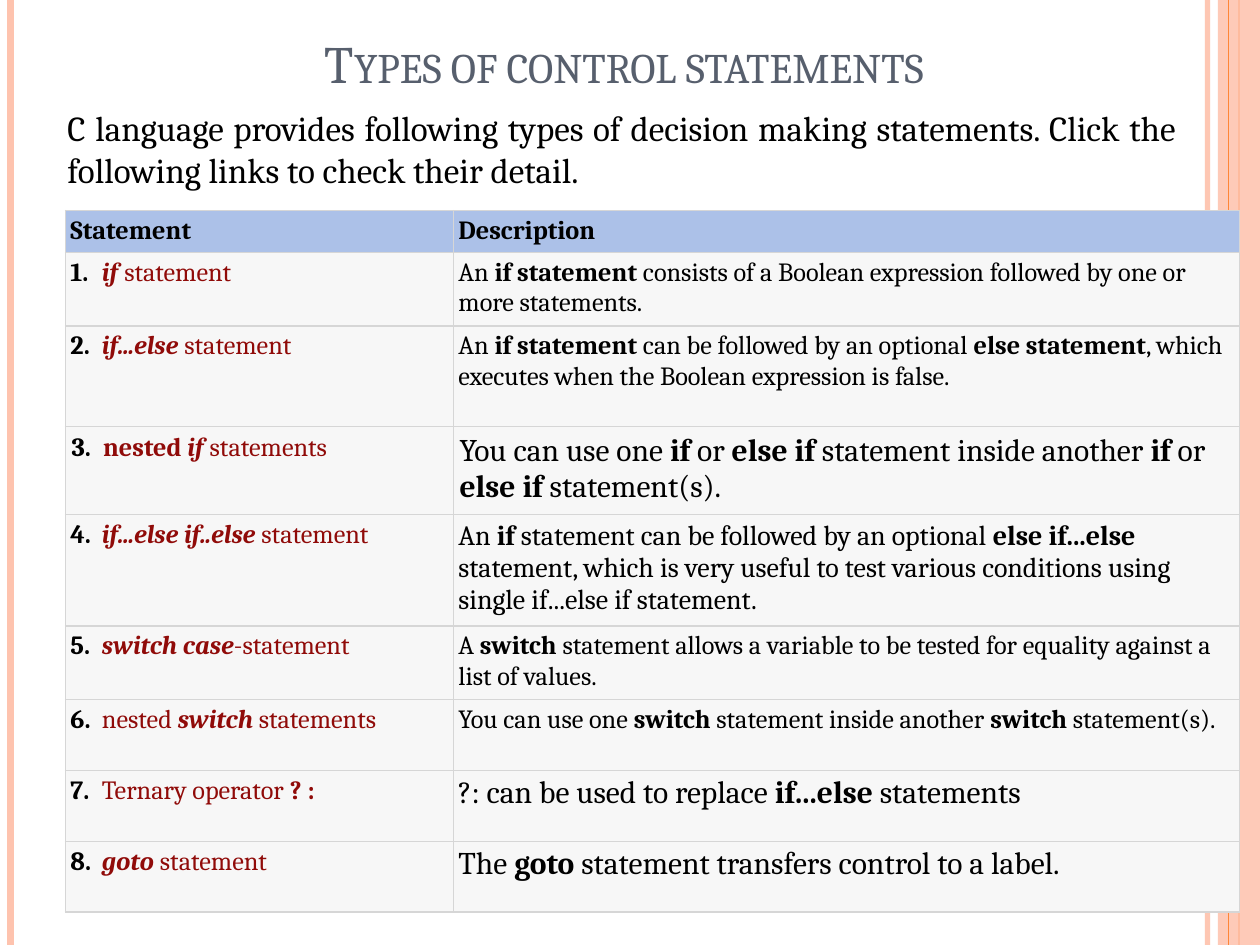
"""Build a slide that lists the control statements of the C language in a table."""
from lxml.etree import SubElement
from pptx import Presentation
from pptx.dml.color import RGBColor as Color
from pptx.enum.shapes import MSO_CONNECTOR as Connector, MSO_SHAPE as Shape
from pptx.enum.text import MSO_ANCHOR as Anchor, PP_ALIGN as Align
from pptx.oxml.ns import qn
from pptx.util import Pt

COLORS = {"title": "575F6D", "text": "000000", "link": "900B09", "header": "ACC1E8",
          "row": "F7F7F7", "border": "D6D6D6", "pale": "FEC3AE", "orange": "FE8637"}


def add_run(paragraph, text, size, color="text", style=""):
    run = paragraph.add_run()
    run.text = text
    values = {"name": "Cambria", "size": Pt(size), "bold": "b" in style, "italic": "i" in style}
    for name, value in values.items():
        setattr(run.font, name, value)
    run.font.color.rgb = Color.from_string(COLORS[color])
    return run


def set_alpha(element, percent):
    color = next(element.iter(qn("a:srgbClr")))
    SubElement(color, qn("a:alpha"), val=str(percent * 1000))


presentation = Presentation()
presentation.slide_width, presentation.slide_height = Pt(720), Pt(540)
slide = presentation.slides.add_slide(presentation.slide_layouts[6])

lines = [(690, 3, "pale", 93), (6, 4.5, "pale", 100), (708, 1.5, "orange", 100),
         (702, 0.75, "orange", 100)]
for index, (x, width, color, opacity) in enumerate(lines):
    if index == 3:
        band = slide.shapes.add_shape(Shape.RECTANGLE, Pt(696), Pt(0), Pt(24), Pt(540))
        band.shadow.inherit = False
        band.fill.solid()
        band.fill.fore_color.rgb = Color.from_string(COLORS["pale"])
        band.line.fill.background()
        set_alpha(band._element.spPr, 87)
    line = slide.shapes.add_connector(Connector.STRAIGHT, Pt(x), Pt(0), Pt(x), Pt(540))
    line.line.width = Pt(width)
    line.line.color.rgb = Color.from_string(COLORS[color])
    if opacity < 100:
        set_alpha(line._element.spPr, opacity)
    SubElement(line._element.spPr, qn("a:effectLst"))

texts = [
    ((62.5, 0.5, 588.5, 56.5), "Types of control statements", 30, "title",
     Align.CENTER, Anchor.BOTTOM, "small"),
    ((31.5, 57.5, 648, 55.5), "C language provides following types of decision making statements. "
     "Click the following links to check their detail.", 20, "text",
     Align.JUSTIFY, Anchor.TOP, "none"),
]
for bounds, text, size, color, alignment, anchor, caps in texts:
    box = slide.shapes.add_textbox(*map(Pt, bounds))
    box.text_frame.word_wrap = True
    box.text_frame.vertical_anchor = anchor
    paragraph = box.text_frame.paragraphs[0]
    paragraph.alignment = alignment
    run = add_run(paragraph, text, size, color)
    run._r.get_or_add_rPr().set("cap", caps)

statements = [
    (41, 3, [("if ", "bi"), ("statement", "")], 15,
     "An *if statement* consists of a Boolean expression followed by one or more statements."),
    (57.5, 3, [("if...else ", "bi"), ("statement", "")], 15,
     "An *if statement* can be followed by an optional *else statement*, "
     "which executes when the Boolean expression is false."),
    (49, 3.6, [("nested ", "b"), ("if ", "bi"), ("statements", "")], 18,
     "You can use one *if* or *else if* statement inside another *if* or *else if* statement(s)."),
    (61, 3, [("if...else if..else ", "bi"), ("statement", "")], 16,
     "An *if* statement can be followed by an optional *else if...else* statement, "
     "which is very useful to test various conditions using single if...else if statement."),
    (41, 3, [("switch case", "bi"), ("-statement", "")], 15,
     "A *switch* statement allows a variable to be tested for equality against a list of values."),
    (40.5, 3, [("nested ", ""), ("switch", "bi"), (" statements", "")], 15,
     "You can use one *switch* statement inside another *switch *statement(s)."),
    (40.5, 3, [("Ternary operator ", ""), ("? :", "b")], 18,
     "?: can be used to replace *if...else *statements"),
    (40.5, 3, [("goto", "bi"), (" statement", "")], 18,
     "The *goto* statement transfers control to a label."),
]
frame = slide.shapes.add_table(len(statements) + 1, 2, Pt(37.3), Pt(120.3), Pt(671), Pt(395))
table = frame.table
table.first_row = table.horz_banding = False
table.columns[0].width, table.columns[1].width = Pt(221.7), Pt(449.3)
heights = [24] + [statement[0] for statement in statements]
margins = [3] + [statement[1] for statement in statements]
for index, (row, height, margin) in enumerate(zip(table.rows, heights, margins)):
    row.height = Pt(height)
    for cell in row.cells:
        for side in ("left", "right", "top", "bottom"):
            setattr(cell, f"margin_{side}", Pt(margin))
        for edge in ("lnL", "lnR", "lnT", "lnB"):
            border = SubElement(cell._tc.get_or_add_tcPr(), qn(f"a:{edge}"), w=str(Pt(0.75)))
            fill = SubElement(border, qn("a:solidFill"))
            SubElement(fill, qn("a:srgbClr"), val=COLORS["border"])
        cell.fill.solid()
        cell.fill.fore_color.rgb = Color.from_string(COLORS["row" if index else "header"])

for column, heading in enumerate(("Statement", "Description")):
    add_run(table.cell(0, column).text_frame.paragraphs[0], heading, 15, style="b")
for number, (height, margin, name, size, description) in enumerate(statements, 1):
    paragraph = table.cell(number, 0).text_frame.paragraphs[0]
    tabs = SubElement(paragraph._p.get_or_add_pPr(), qn("a:tabLst"))
    SubElement(tabs, qn("a:tab"), pos=str(Pt(18)), algn="l")
    add_run(paragraph, f"{number}.\t", 15, style="b")
    for text, style in name:
        add_run(paragraph, text, 15, "link", style)
    paragraph = table.cell(number, 1).text_frame.paragraphs[0]
    for position, text in enumerate(description.split("*")):
        if text:
            add_run(paragraph, text, size, style="b" if position % 2 else "")

presentation.save("out.pptx")
